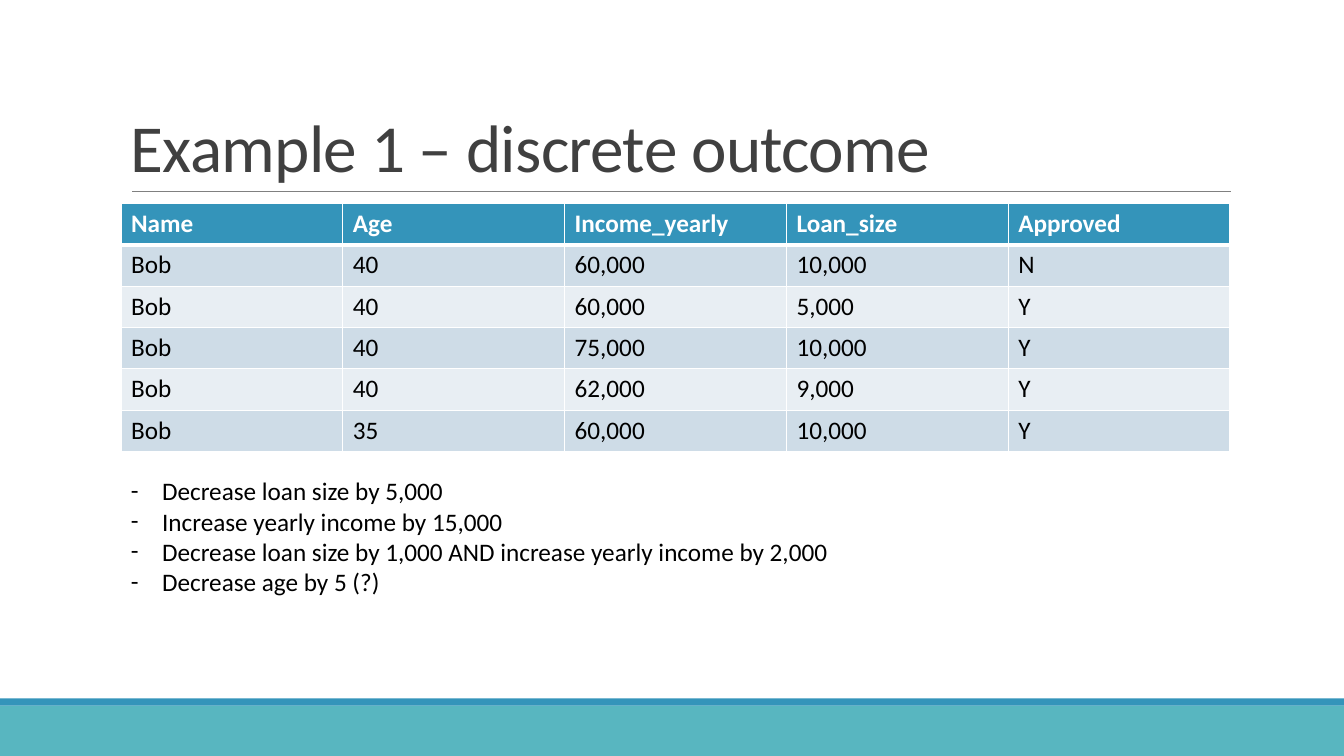
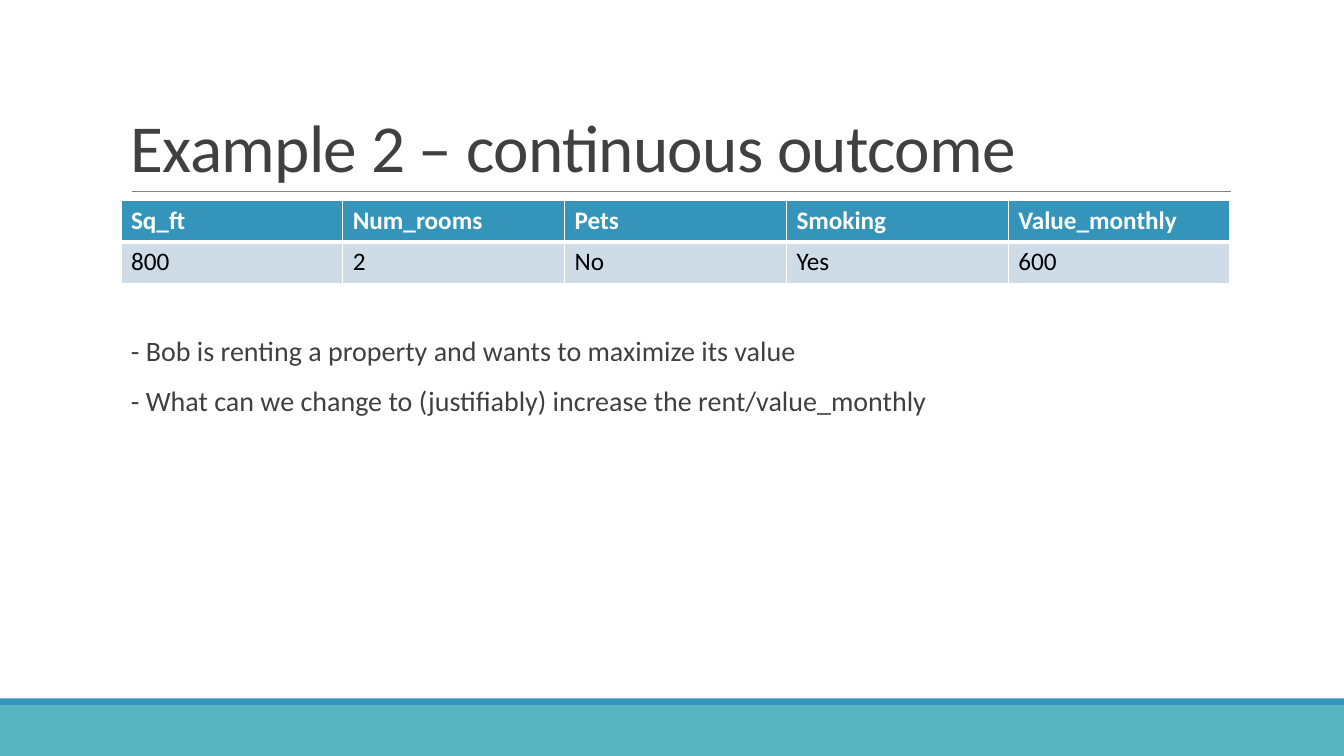
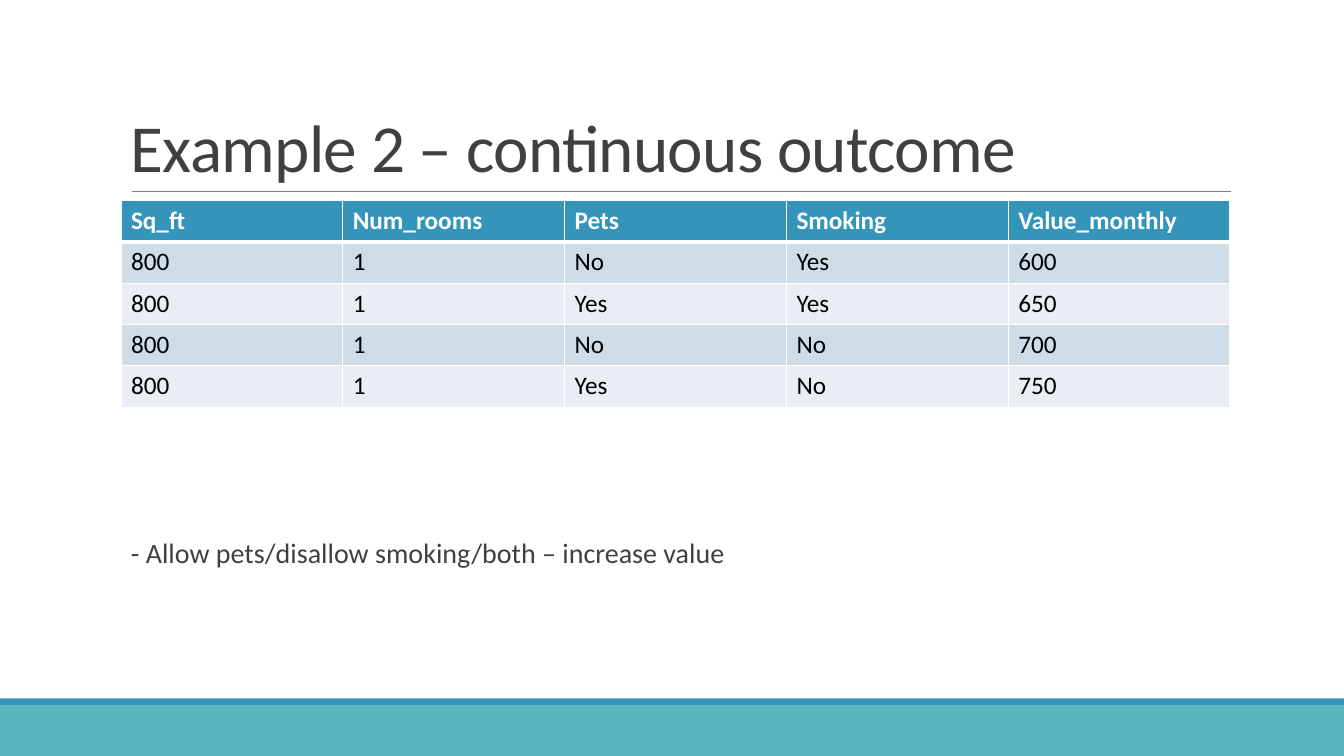
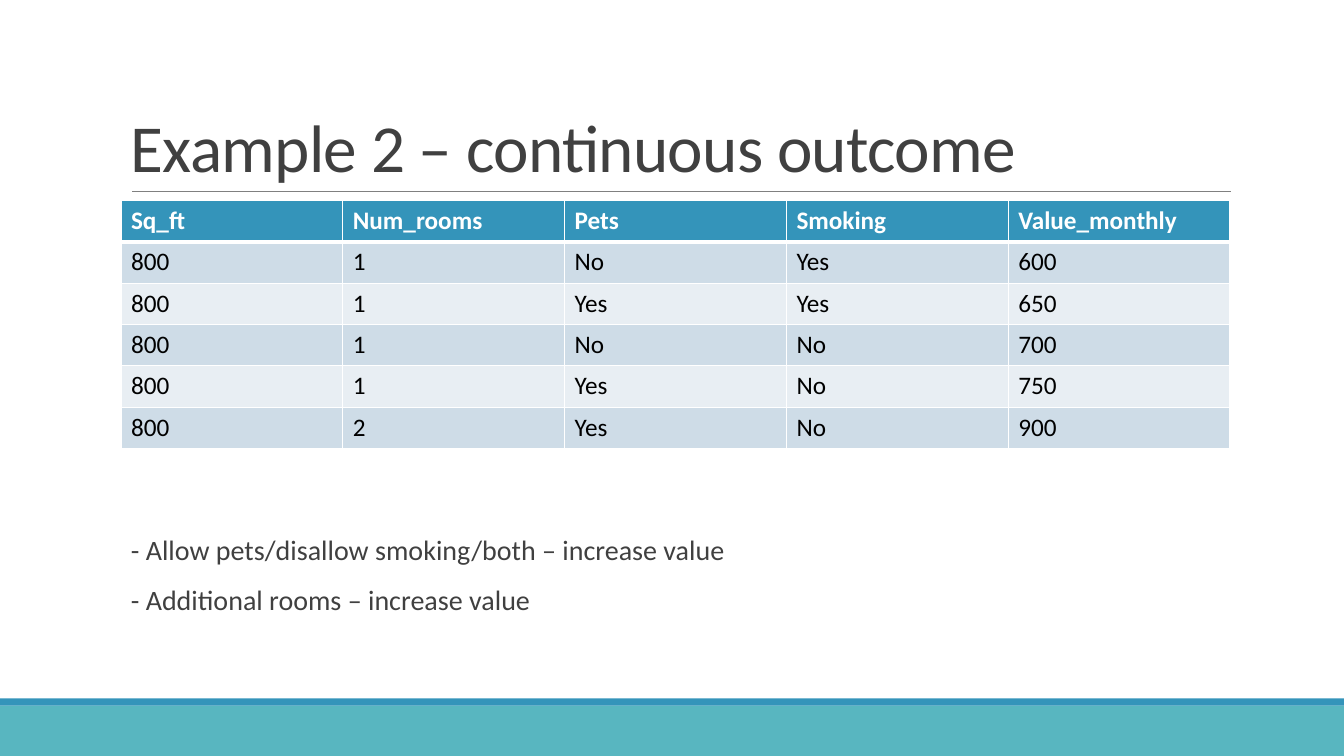
from dataclasses import dataclass

from lxml.etree import SubElement as Sub
from pptx import Presentation
from pptx.dml.color import RGBColor as Rgb
from pptx.enum.shapes import MSO_CONNECTOR as Link, MSO_SHAPE as Kind
from pptx.enum.text import MSO_ANCHOR as Anchor
from pptx.oxml.ns import qn
from pptx.util import Inches, Pt


@dataclass(frozen=True)
class Theme:
    font: str = "Calibri"
    blue: str = "3494BA"
    teal: str = "58B6C0"
    rule: str = "808080"
    gray: str = "404040"
    black: str = "000000"
    white: str = "FFFFFF"
    bands: tuple = ("CEDCE7", "E8EEF3")
    title: int = 48
    body: int = 20
    small: int = 18


T = Theme()
WIDE, HIGH = 13.33, 7.5
LEFT, SPAN = 1.2, 11
ROW = 0.41

LOANS = [
    ("Name", "Age", "Income_yearly", "Loan_size", "Approved"),
    ("Bob", "40", "60,000", "10,000", "N"),
    ("Bob", "40", "60,000", "5,000", "Y"),
    ("Bob", "40", "75,000", "10,000", "Y"),
    ("Bob", "40", "62,000", "9,000", "Y"),
    ("Bob", "35", "60,000", "10,000", "Y"),
]
STEPS = [
    "Decrease loan size by 5,000",
    "Increase yearly income by 15,000",
    "Decrease loan size by 1,000 AND increase yearly income by 2,000",
    "Decrease age by 5 (?)",
]
HEAD = ("Sq_ft", "Num_rooms", "Pets", "Smoking", "Value_monthly")
START = ("800", "2", "No", "Yes", "600")
RENTS = [
    ("800", "1", "No", "Yes", "600"),
    ("800", "1", "Yes", "Yes", "650"),
    ("800", "1", "No", "No", "700"),
    ("800", "1", "Yes", "No", "750"),
    ("800", "2", "Yes", "No", "900"),
]
GOALS = [
    "- Bob is renting a property and wants to maximize its value",
    "- What can we change to (justifiably) increase the rent/value_monthly",
]
TIPS = [
    "- Allow pets/disallow smoking/both – increase value",
    "- Additional rooms – increase value",
]


# Text
def write(frame, lines, size=T.small, color=T.black, bold=False, lead=None,
          before=0, after=0, track=0, mark=None):
    """Fill a text frame, one paragraph per line."""
    for i, line in enumerate(lines):
        para = frame.paragraphs[0] if i == 0 else frame.add_paragraph()
        para.line_spacing = lead
        para.space_before, para.space_after = Pt(before), Pt(after)
        if mark:
            hang(para, mark)
        run = para.add_run()
        run.text = line
        font = run.font
        font.name, font.size, font.bold = T.font, Pt(size), bold
        font.color.rgb = Rgb.from_string(color)
        if track:
            run._r.get_or_add_rPr().set("spc", str(int(track * 100)))


def hang(para, mark, deep=0.31):
    """Give a paragraph a bullet with a hanging indent."""
    props = para._p.get_or_add_pPr()
    props.set("marL", str(Inches(deep)))
    props.set("indent", str(-Inches(deep)))
    Sub(props, qn("a:buFont"), typeface=T.font)
    Sub(props, qn("a:buChar"), char=mark)


def box(slide, top, high, lines, anchor=Anchor.TOP, **style):
    area = slide.shapes.add_textbox(
        Inches(LEFT), Inches(top), Inches(SPAN), Inches(high))
    frame = area.text_frame
    frame.word_wrap = True
    frame.vertical_anchor = anchor
    write(frame, lines, **style)


def body(slide, top, high, lines):
    box(slide, top, high, lines, size=T.body, color=T.gray,
        lead=0.9, before=12, after=2)


# Bands and rule
def band(slide, top, high, color):
    bar = slide.shapes.add_shape(
        Kind.RECTANGLE, 0, Inches(top), Inches(WIDE), Inches(high))
    bar.shadow.inherit = False
    bar.fill.solid()
    bar.fill.fore_color.rgb = Rgb.from_string(color)
    bar.line.fill.background()


def rule(slide, left, right, top):
    line = slide.shapes.add_connector(
        Link.STRAIGHT, Inches(left), Inches(top), Inches(right), Inches(top))
    line.line.color.rgb = Rgb.from_string(T.rule)
    line.line.width = Pt(0.5)
    Sub(line._element.spPr, qn("a:effectLst"))


# Table
def edge(cell, side, width):
    line = Sub(cell._tc.get_or_add_tcPr(), qn("a:ln" + side),
               w=str(Pt(width)))
    fill = Sub(line, qn("a:solidFill"))
    Sub(fill, qn("a:srgbClr"), val=T.white)


def grid(slide, top, rows):
    cols = len(rows[0])
    table = slide.shapes.add_table(
        len(rows), cols, Inches(LEFT), Inches(top),
        Inches(SPAN), Inches(ROW * len(rows))).table
    table.horz_banding = False
    for col in table.columns:
        col.width = Inches(SPAN / cols)
    for r, row in enumerate(rows):
        head = r == 0
        fill = T.blue if head else T.bands[(r - 1) % 2]
        for c, text in enumerate(row):
            cell = table.cell(r, c)
            # The edge below the header is thicker
            for side in "LRTB":
                thick = (r, side) in ((0, "B"), (1, "T"))
                edge(cell, side, 3 if thick else 1)
            cell.fill.solid()
            cell.fill.fore_color.rgb = Rgb.from_string(fill)
            write(cell.text_frame, [text], bold=head,
                  color=T.white if head else T.black)


# Shared frame of every slide
def page(deck, title):
    slide = deck.slides.add_slide(deck.slide_layouts[6])
    band(slide, 7, 0.5, T.teal)
    band(slide, 6.93, 0.07, T.blue)
    rule(slide, 1.31, 12.21, 1.9)
    box(slide, 0.31, 1.59, [title], anchor=Anchor.BOTTOM, size=T.title,
        color=T.gray, lead=0.85, track=-0.5)
    return slide


def main():
    deck = Presentation()
    deck.slide_width, deck.slide_height = Inches(WIDE), Inches(HIGH)

    # Loan example
    slide = page(deck, "Example 1 – discrete outcome")
    grid(slide, 2.02, LOANS)
    box(slide, 4.67, 1.31, STEPS, mark="-")

    # Rent example, built up in three steps
    for rows, top, high, notes in (
        ([START], 3.3, 3.12, GOALS),
        (RENTS[:4], 5.3, 1.12, TIPS[:1]),
        (RENTS, 5.27, 1.15, TIPS),
    ):
        slide = page(deck, "Example 2 – continuous outcome")
        body(slide, top, high, notes)
        grid(slide, 1.99, [HEAD, *rows])

    deck.save("out.pptx")


if __name__ == "__main__":
    main()
